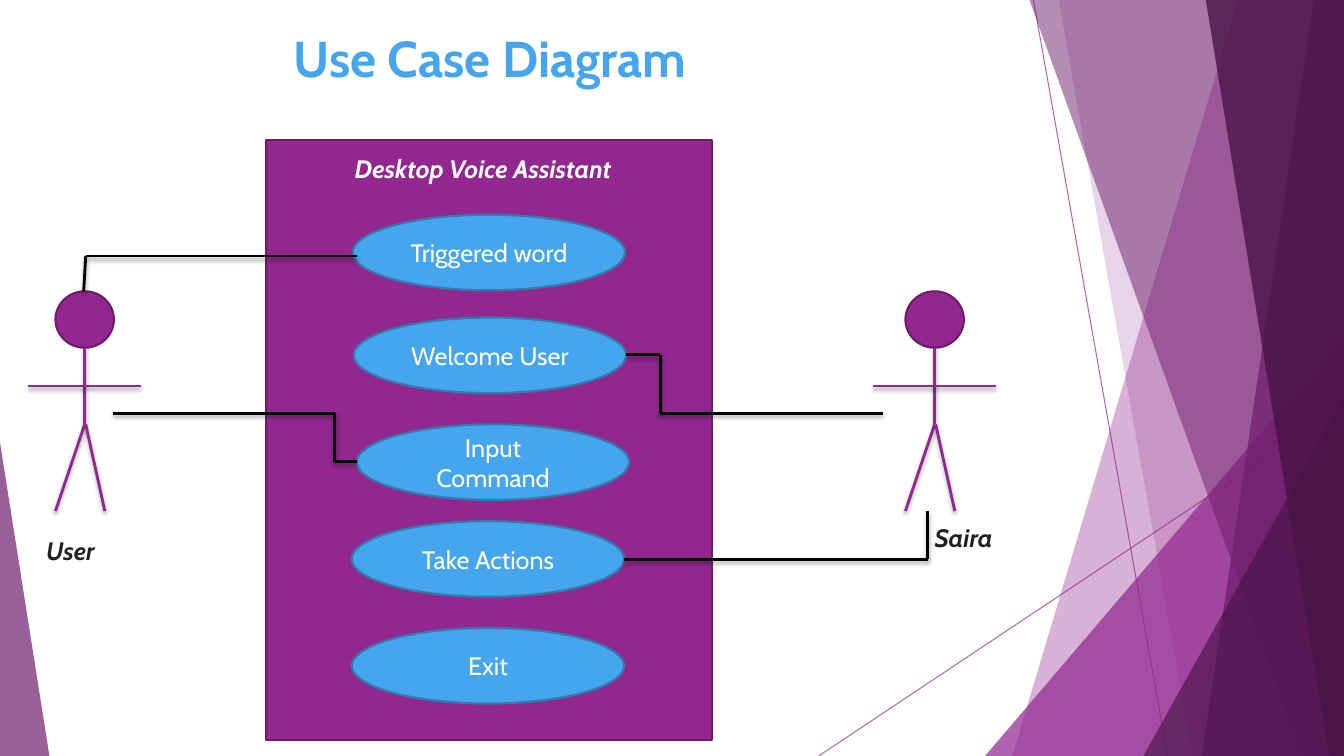
from itertools import pairwise

from lxml import etree
from pptx import Presentation
from pptx import util as u
from pptx.dml import color
from pptx.enum import shapes, text
from pptx.oxml import ns, parse_xml

PURPLE, DARK_PURPLE, DEEP_PURPLE = "92278F", "6D1D6B", "491447"
BLUE, WHITE, BLACK, INK = "45A5ED", "FFFFFF", "000000", "202124"
SLIDE_W, SLIDE_H = 13.33, 7.5
LABEL = {"size": u.Pt(18), "name": "Cabin", "bold": True, "italic": True}
CASE = {"size": u.Pt(18), "name": "Cabin"}
TITLE = {"size": u.Pt(36), "name": "Cabin", "bold": True}
SHADOW = (
    f'<a:effectLst {ns.nsdecls("a")}><a:outerShdw blurRad="38100" dist="25400" '
    'dir="5400000" rotWithShape="0"><a:srgbClr val="000000">'
    '<a:alpha val="35000"/></a:srgbClr></a:outerShdw></a:effectLst>'
)
NO_SHADOW = f'<a:effectLst {ns.nsdecls("a")}/>'


def paint(fill, hex_colour, opacity=100):
    """Make a fill solid, with opacity in percent."""
    fill.solid()
    fill.fore_color.rgb = color.RGBColor.from_string(hex_colour)
    if opacity < 100:
        tint = fill._xPr.find(".//" + ns.qn("a:srgbClr"))
        etree.SubElement(tint, ns.qn("a:alpha"), val=str(opacity * 1000))


def write(frame, words, style, hex_colour, align=text.PP_ALIGN.LEFT):
    paragraph = frame.paragraphs[0]
    paragraph.alignment = align
    run = paragraph.add_run()
    run.text = words
    for name, value in style.items():
        setattr(run.font, name, value)
    paint(run.font.fill, hex_colour)
    return run


def add_label(slide, box, words, hex_colour):
    frame = slide.shapes.add_textbox(*map(u.Inches, box)).text_frame
    frame.word_wrap = False
    frame.auto_size = text.MSO_AUTO_SIZE.SHAPE_TO_FIT_TEXT
    write(frame, words, LABEL, hex_colour)


def add_preset(slide, kind, box, fill, edge=None, opacity=100):
    shape = slide.shapes.add_shape(kind, *map(u.Inches, box))
    shape.shadow.inherit = False
    paint(shape.fill, fill, opacity)
    if edge:
        paint(shape.line.fill, edge)
        shape.line.width = u.Pt(1.5)
    else:
        shape.line.fill.background()
    return shape


def add_route(slide, points, hex_colour, width=2, opacity=100, effect=SHADOW):
    """Join each point to the next with a straight connector."""
    for start, end in pairwise(points):
        line = slide.shapes.add_connector(
            shapes.MSO_CONNECTOR.STRAIGHT, *map(u.Inches, (*start, *end)))
        paint(line.line.fill, hex_colour, opacity)
        line.line.width = u.Pt(width)
        line._element.spPr.append(parse_xml(effect))


def add_shard(slide, top_x, bottom_x, hex_colour, opacity):
    """Fill from a slanted left edge to the right side of the slide."""
    corners = [(top_x, 0), (SLIDE_W, 0), (SLIDE_W, SLIDE_H), (bottom_x, SLIDE_H)]
    corners = [tuple(map(u.Inches, corner)) for corner in corners]
    builder = slide.shapes.build_freeform(*corners[0])
    builder.add_line_segments(corners[1:], close=True)
    shard = builder.convert_to_shape()
    shard.shadow.inherit = False
    paint(shard.fill, hex_colour, opacity)
    shard.line.fill.background()


def add_wedge(slide, box, apex, hex_colour, opacity):
    wedge = add_preset(slide, shapes.MSO_SHAPE.ISOSCELES_TRIANGLE, box,
                       hex_colour, opacity=opacity)
    wedge.adjustments[0] = apex


def add_backdrop(slide):
    for ray in ([(10.25, 0), (11.58, SLIDE_H)], [(SLIDE_W, 4.03), (8.12, SLIDE_H)]):
        add_route(slide, ray, PURPLE, 0.75, 70, NO_SHADOW)
    add_shard(slide, 12.28, 10.04, PURPLE, 36)
    add_shard(slide, 10.5, 11.83, PURPLE, 20)
    add_wedge(slide, (9.77, 3.33, 3.56, 4.17), 1, PURPLE, 72)
    add_shard(slide, 10.21, 12.91, DARK_PURPLE, 50)
    add_shard(slide, 13.03, 11.92, DARK_PURPLE, 70)
    add_shard(slide, 11.96, 13.18, DEEP_PURPLE, 80)
    add_wedge(slide, (11.34, 3.93, 1.99, 3.57), 1, DEEP_PURPLE, 66)
    add_wedge(slide, (0, 4.39, 0.49, 3.11), 0, DARK_PURPLE, 70)


def add_title(slide, box, words):
    title = slide.shapes.title
    title.left, title.top, title.width, title.height = map(u.Inches, box)
    frame = title.text_frame
    frame.word_wrap = False
    frame.auto_size = text.MSO_AUTO_SIZE.NONE
    frame.vertical_anchor = text.MSO_ANCHOR.TOP
    run = write(frame, words, TITLE, BLUE, text.PP_ALIGN.CENTER)
    outline = parse_xml(
        f'<a:ln {ns.nsdecls("a")} w="9525"><a:solidFill>'
        f'<a:srgbClr val="{WHITE}"/></a:solidFill></a:ln>')
    run.font._element.insert(0, outline)


def add_system(slide, box, name, use_cases):
    """Draw the system boundary; each use case gives its offset and wording."""
    left, top, _, _ = box
    add_preset(slide, shapes.MSO_SHAPE.RECTANGLE, box, PURPLE, "6C1D6A")
    for dx, dy, words in use_cases:
        oval = add_preset(slide, shapes.MSO_SHAPE.OVAL,
                          (left + dx, top + dy, 2.7, 0.75), BLUE, "337AAF")
        frame = oval.text_frame
        frame.word_wrap = True
        frame.vertical_anchor = text.MSO_ANCHOR.MIDDLE
        write(frame, words, CASE, WHITE, text.PP_ALIGN.CENTER)
    add_label(slide, (left + 0.78, top + 0.08, 3.13, 0.4), name, WHITE)


def add_actor(slide, box, name, label_box):
    """Draw a stick figure; label_box is relative to its centre and top."""
    left, top, width, height = box
    centre, neck, hip, foot = left + width / 2, top + 0.56, top + 1.32, top + height
    arms = top + 0.94
    add_preset(slide, shapes.MSO_SHAPE.OVAL,
               (centre - 0.29, top, 0.58, 0.56), PURPLE, "6C1D6A")
    for limb in (
        [(centre, neck), (centre, hip)],
        [(left, arms), (left + width, arms)],
        [(centre, hip), (centre - 0.29, foot)],
        [(centre + 0.01, hip), (centre + 0.2, foot)],
    ):
        add_route(slide, limb, PURPLE)
    dx, dy, label_w, label_h = label_box
    add_label(slide, (centre + dx, top + dy, label_w, label_h), name, INK)


def add_links(slide):
    for route in (
        [(0.83, 2.89), (0.85, 2.54), (3.54, 2.54)],
        [(1.12, 4.1), (3.32, 4.1), (3.32, 4.58), (3.54, 4.58)],
        [(8.76, 4.1), (6.55, 4.1), (6.55, 3.52), (6.21, 3.52)],
        [(9.2, 5.07), (9.2, 5.55), (6.19, 5.55)],
    ):
        add_route(slide, route, BLACK)


def main():
    deck = Presentation()
    deck.slide_width, deck.slide_height = u.Inches(SLIDE_W), u.Inches(SLIDE_H)
    slide = deck.slides.add_slide(deck.slide_layouts.get_by_name("Title Only"))
    add_backdrop(slide)
    add_title(slide, (2.69, 0.22, 4.34, 0.71), "Use Case Diagram")
    add_system(slide, (2.64, 1.39, 4.42, 5.95), "Desktop Voice Assistant", [
        (0.86, 0.74, "Triggered word"),
        (0.87, 1.76, "Welcome User"),
        (0.9, 2.82, "Input Command"),
        (0.85, 3.78, "Take Actions"),
        (0.85, 4.84, "Exit"),
    ])
    add_actor(slide, (0.28, 2.89, 1.12, 2.18), "User", (-0.48, 2.37, 0.76, 0.4))
    add_actor(slide, (8.66, 2.89, 1.22, 2.18), "Saira", (-0.1, 2.24, 0.89, 0.4))
    add_links(slide)
    deck.save("out.pptx")


if __name__ == "__main__":
    main()
